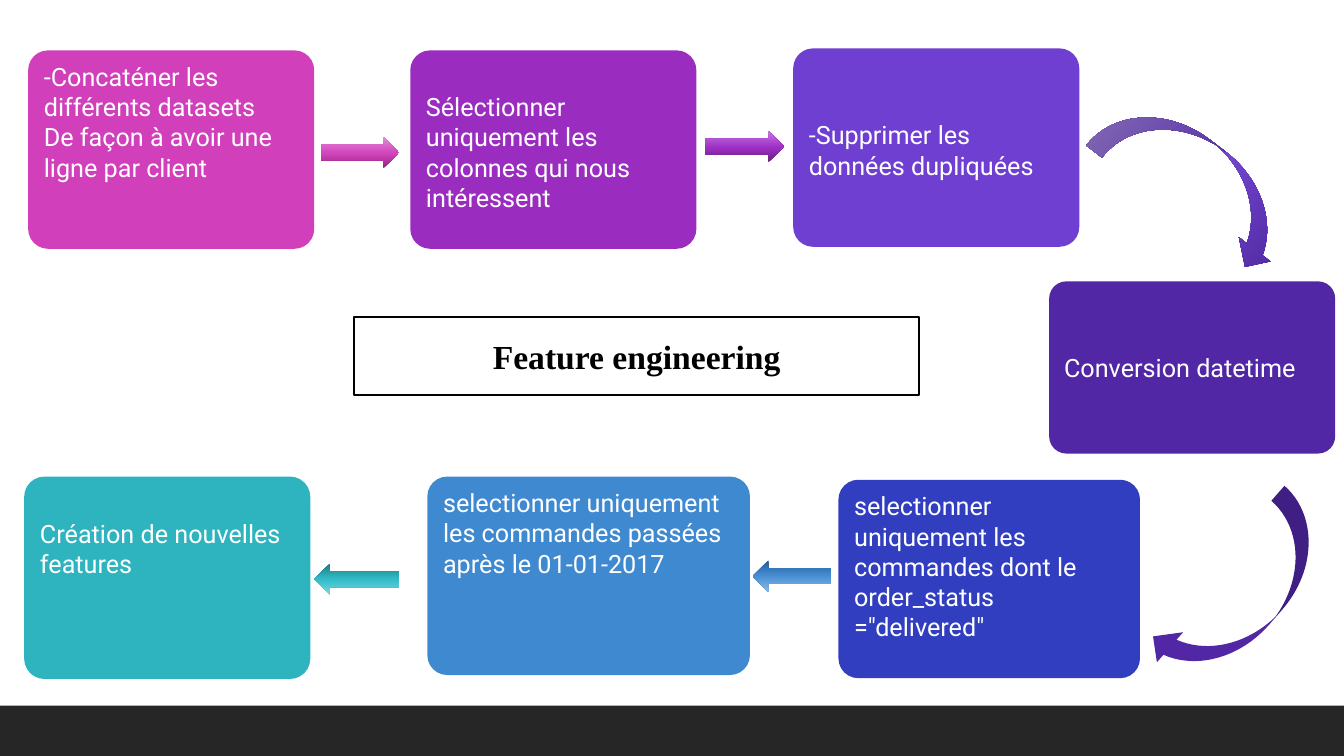
from copy import deepcopy

from pptx import Presentation
from pptx import util as u
from pptx.dml.color import RGBColor
from pptx.enum import shapes, text
from pptx.oxml import ns

COLORS = {
    "white": "FFFFFF", "black": "000000", "band": "262626",
    "pink": "D13FBA", "purple": "9A2DBF", "violet": "6F3FD1", "indigo": "5127A5",
    "navy": "313EC0", "blue": "3F89D1", "teal": "2DB4BF",
}
GRADIENTS = {
    "pink": ("932381", "D245BC", "E38CD6"),
    "purple": ("671E80", "9F2FC6", "C67AE0"),
    "violet": ("482393", "7345D2", "A98CE3"),
    "blue": ("235C93", "458DD2", "8CB8E3"),
    "teal": ("1E7980", "2FBAC6", "7AD8E0"),
}
STOPS = (0, 0.48, 1)
STEP_WIDTH, STEP_HEIGHT = 7.21, 5
ARROW_WIDTH, ARROW_HEIGHT = 1.98, 0.79
CURVE_WIDTH, CURVE_HEIGHT = 2.01, 5.54
LINE_HEIGHT = 0.76
RIGHT = shapes.MSO_SHAPE.RIGHT_ARROW
CURVED = shapes.MSO_SHAPE.CURVED_LEFT_ARROW


def color(name):
    return RGBColor.from_string(COLORS[name])


def add_plain_shape(page, kind, box, fill):
    shape = page.shapes.add_shape(kind, *(u.Cm(length) for length in box))
    shape.shadow.inherit = False
    shape.line.fill.background()
    shape.fill.solid()
    shape.fill.fore_color.rgb = color(fill)
    return shape


def draw_step(page, box, fill, wording, skipped_lines):
    step = add_plain_shape(page, shapes.MSO_SHAPE.ROUNDED_RECTANGLE, box, fill)
    step.adjustments[0] = 0.1
    frame = step.text_frame
    frame.word_wrap = True
    frame.vertical_anchor = text.MSO_ANCHOR.TOP
    frame.margin_top = u.Cm(0.13 + skipped_lines * LINE_HEIGHT)
    frame.text = wording
    for para in frame.paragraphs:
        para.alignment = text.PP_ALIGN.LEFT
        for span in para.runs:
            span.font.name = "Roboto"
            span.font.size = u.Pt(18)
            span.font.color.rgb = color("white")


def draw_arrow(page, kind, box, fill, rotation):
    arrow = add_plain_shape(page, kind, box, fill)
    arrow.rotation = rotation
    if fill in GRADIENTS:
        arrow.fill.gradient()
        arrow.fill.gradient_angle = 90
        stops = next(arrow._element.spPr.iter(ns.qn("a:gsLst")))
        stops.append(deepcopy(stops[0]))
        for stop, position, shade in zip(arrow.fill.gradient_stops, STOPS, GRADIENTS[fill]):
            stop.position = position
            stop.color.rgb = RGBColor.from_string(shade)


def draw_region(page, box, steps, arrows):
    left, top = box[:2]
    for x, y, width, height, *details in steps:
        draw_step(page, (left + x, top + y, width, height), *details)
    for kind, x, y, width, height, *details in arrows:
        draw_arrow(page, kind, (left + x, top + y, width, height), *details)


def draw_top_row(page, box):
    steps = [
        (0, 0.05, STEP_WIDTH, STEP_HEIGHT, "pink",
         "-Concaténer les différents datasets\nDe façon à avoir une ligne par client", 0),
        (9.63, 0.05, STEP_WIDTH, STEP_HEIGHT, "purple",
         "Sélectionner uniquement les colonnes qui nous intéressent", 1),
        (19.28, 0, STEP_WIDTH, STEP_HEIGHT, "violet",
         "-Supprimer les données dupliquées", 2),
    ]
    arrows = [
        (RIGHT, 7.37, 2.23, ARROW_WIDTH, ARROW_HEIGHT, "pink", 0),
        (RIGHT, 17.07, 2.08, ARROW_WIDTH, ARROW_HEIGHT, "purple", 0),
    ]
    draw_region(page, box, steps, arrows)


def draw_turn(page, box):
    steps = [(0, 5.31, STEP_WIDTH, 4.34, "indigo", "Conversion datetime", 2)]
    arrows = [
        (CURVED, 2.74, 0, CURVE_WIDTH, CURVE_HEIGHT, "violet", 307.4),
        (CURVED, 3.86, 10.44, CURVE_WIDTH, CURVE_HEIGHT, "indigo", 41.1),
    ]
    draw_region(page, box, steps, arrows)


def draw_bottom_row(page, box):
    steps = [
        (20.52, 0.08, 7.6, STEP_HEIGHT, "navy",
         'selectionner uniquement les commandes dont le order_status ="delivered"', 0),
        (10.16, 0, 8.13, STEP_HEIGHT, "blue",
         "selectionner uniquement les commandes passées après le 01-01-2017", 0),
        (0, 0, STEP_WIDTH, 5.1, "teal", "Création de nouvelles features", 1),
    ]
    arrows = [
        (RIGHT, 18.36, 2.11, ARROW_WIDTH, ARROW_HEIGHT, "blue", 180),
        (RIGHT, 7.31, 2.19, 2.13, ARROW_HEIGHT, "teal", 180),
    ]
    draw_region(page, box, steps, arrows)


def draw_title(page, box):
    title = page.shapes.title
    title.left, title.top, title.width, title.height = (u.Cm(length) for length in box)
    title.fill.solid()
    title.fill.fore_color.rgb = color("white")
    title.line.color.rgb = color("black")
    title.line.width = u.Pt(1.25)
    frame = title.text_frame
    frame.text = "Feature engineering"
    frame.word_wrap = True
    frame.auto_size = text.MSO_AUTO_SIZE.NONE
    frame.vertical_anchor = text.MSO_ANCHOR.MIDDLE
    para = frame.paragraphs[0]
    para.alignment = text.PP_ALIGN.CENTER
    font = para.runs[0].font
    font.name = "Times New Roman"
    font.size = u.Pt(24)
    font.bold = True
    font.color.rgb = color("black")


def main():
    deck = Presentation()
    deck.slide_width, deck.slide_height = u.Cm(33.87), u.Cm(19.05)
    page = deck.slides.add_slide(deck.slide_layouts.get_by_name("Title Only"))
    add_plain_shape(page, shapes.MSO_SHAPE.RECTANGLE, (0, 17.78, 33.87, 1.27), "band")
    draw_title(page, (8.92, 7.98, 14.25, 1.98))
    draw_top_row(page, (0.71, 1.22, 26.49, 5.05))
    draw_turn(page, (26.44, 1.78, 7.21, 15.98))
    draw_bottom_row(page, (0.61, 12.01, 28.12, 5.1))
    deck.save("out.pptx")


if __name__ == "__main__":
    main()
